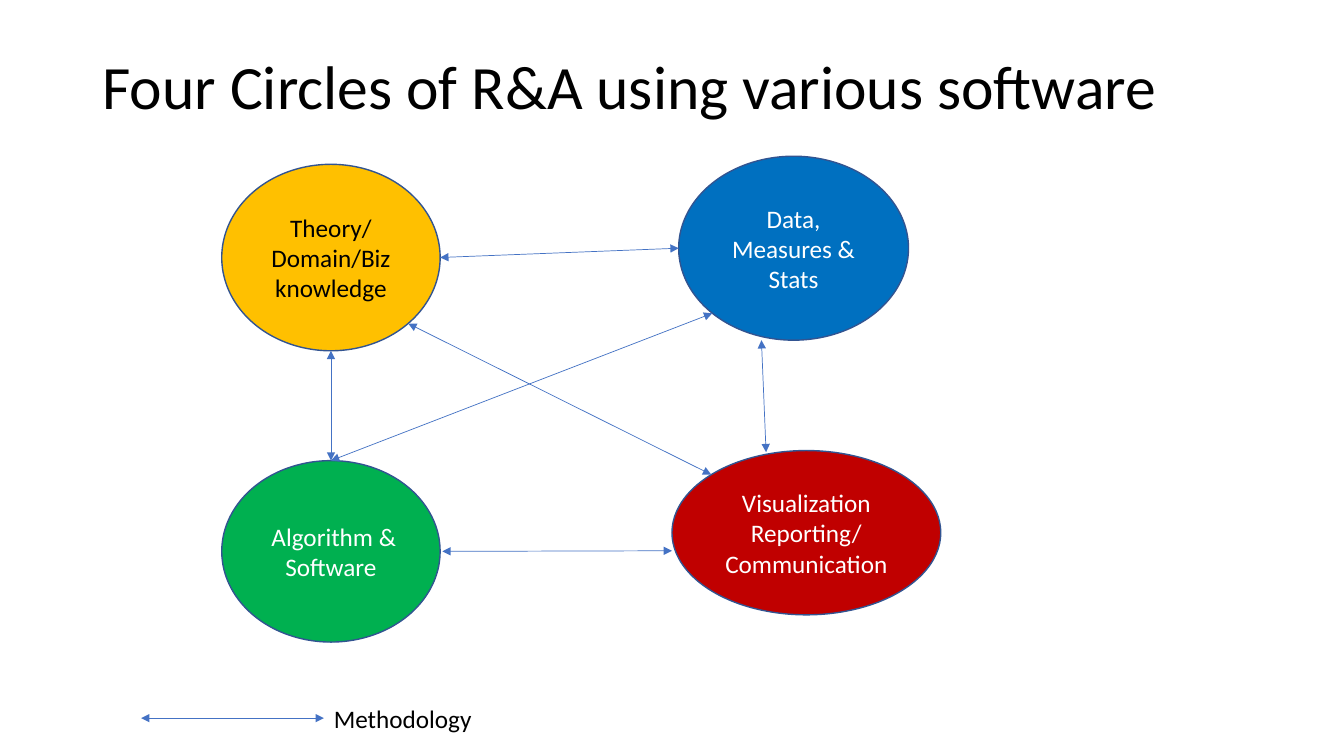
import pptx
import pptx.dml.color
import pptx.enum.shapes
import pptx.enum.text
import pptx.oxml
import pptx.oxml.ns
import pptx.util
import lxml.etree

HUES = {
    "black": "000000", "white": "FFFFFF", "gold": "FFC000", "blue": "0070C0",
    "green": "00B050", "red": "C00000", "edge": "325491", "link": "4472C4",
}
COLS, ROWS = 40, 30
SIDE = 0.146
FAR = 1 - SIDE
ALIGN = pptx.enum.text.PP_ALIGN
ANCHOR = pptx.enum.text.MSO_ANCHOR


def hue(name):
    return pptx.dml.color.RGBColor.from_string(HUES[name])


def write(frame, text, size=18, color="black", align=ALIGN.LEFT,
          anchor=ANCHOR.TOP, wrap=True, lead=None,
          fit=pptx.enum.text.MSO_AUTO_SIZE.NONE):
    frame.text = text
    frame.word_wrap = wrap
    frame.auto_size = fit
    frame.vertical_anchor = anchor
    for para in frame.paragraphs:
        para.alignment = align
        para.line_spacing = lead
        for run in para.runs:
            run.font.name = "Calibri"
            run.font.size = pptx.util.Pt(size)
            run.font.color.rgb = hue(color)


class Board:
    def __init__(self, deck):
        self.slide = deck.slides.add_slide(deck.slide_layouts[5])
        self.shapes = self.slide.shapes
        self.col = deck.slide_width / COLS
        self.row = deck.slide_height / ROWS

    def spot(self, x, y):
        return round(x * self.col), round(y * self.row)

    def title(self, text, x, y, w, h):
        head = self.shapes.title
        head.left, head.top = self.spot(x, y)
        head.width, head.height = self.spot(w, h)
        write(head.text_frame, text, size=44, anchor=ANCHOR.MIDDLE, lead=0.9)

    def oval(self, text, x, y, w, h, fill, color="white"):
        oval = self.shapes.add_shape(pptx.enum.shapes.MSO_SHAPE.OVAL,
                                     *self.spot(x, y), *self.spot(w, h))
        oval.shadow.inherit = False
        oval.fill.solid()
        oval.fill.fore_color.rgb = hue(fill)
        oval.line.color.rgb = hue("edge")
        oval.line.width = pptx.util.Pt(1)
        write(oval.text_frame, text, color=color, align=ALIGN.CENTER,
              anchor=ANCHOR.MIDDLE)
        return oval

    def label(self, text, x, y, w, h):
        box = self.shapes.add_textbox(*self.spot(x, y), *self.spot(w, h))
        write(box.text_frame, text, wrap=False,
              fit=pptx.enum.text.MSO_AUTO_SIZE.SHAPE_TO_FIT_TEXT)

    def arrow(self, start, end):
        line = self.shapes.add_connector(
            pptx.enum.shapes.MSO_CONNECTOR.STRAIGHT, *start, *end)
        line.line.color.rgb = hue("link")
        line.line.width = pptx.util.Pt(0.5)
        qn = pptx.oxml.ns.qn
        stroke = line.line._get_or_add_ln()
        for tag in ("a:headEnd", "a:tailEnd"):
            lxml.etree.SubElement(stroke, qn(tag), type="triangle")
        lxml.etree.SubElement(line._element.spPr, qn("a:effectLst"))
        return line

    def link(self, one, here, two, there):
        line = self.arrow(self.rim(one, *here), self.rim(two, *there))
        if there == (0.5, 0):
            line.end_connect(two, 0)

    def rim(self, oval, across, down):
        return (round(oval.left + across * oval.width),
                round(oval.top + down * oval.height))


def main():
    deck = pptx.Presentation()
    deck.slide_width = pptx.util.Inches(13.33)
    deck.slide_height = pptx.util.Inches(7.5)
    board = Board(deck)
    board.title("Four Circles of R&A using various software",
                2.75, 1.6, 34.5, 3.88)

    theory = board.oval("Theory/\nDomain/Biz\nknowledge",
                        6.6, 6.52, 6.5, 7.4, "gold", "black")
    data = board.oval("Data, Measures & Stats", 20.2, 6.2, 6.84, 7.3, "blue")
    code = board.oval(" Algorithm & Software", 6.6, 18.28, 6.5, 7.2, "green")
    report = board.oval("Visualization Reporting/ Communication",
                        20, 17.88, 8, 6.52, "red")

    for link in (
        (theory, (FAR, FAR), report, (SIDE, SIDE)),
        (data, (SIDE, FAR), code, (0.5, 0)),
        (theory, (1, 0.5), data, (0, 0.5)),
        (code, (1.01, 0.5), report, (0, 0.61)),
        (theory, (0.5, 1), code, (0.5, 0)),
        (data, (0.36, 1), report, (0.35, 0.01)),
    ):
        board.link(*link)

    board.arrow(board.spot(4.2, 28.5), board.spot(9.64, 28.5))
    board.label("Methodology", 9.64, 27.72, 4.74, 1.6)
    deck.save("out.pptx")


if __name__ == "__main__":
    main()
